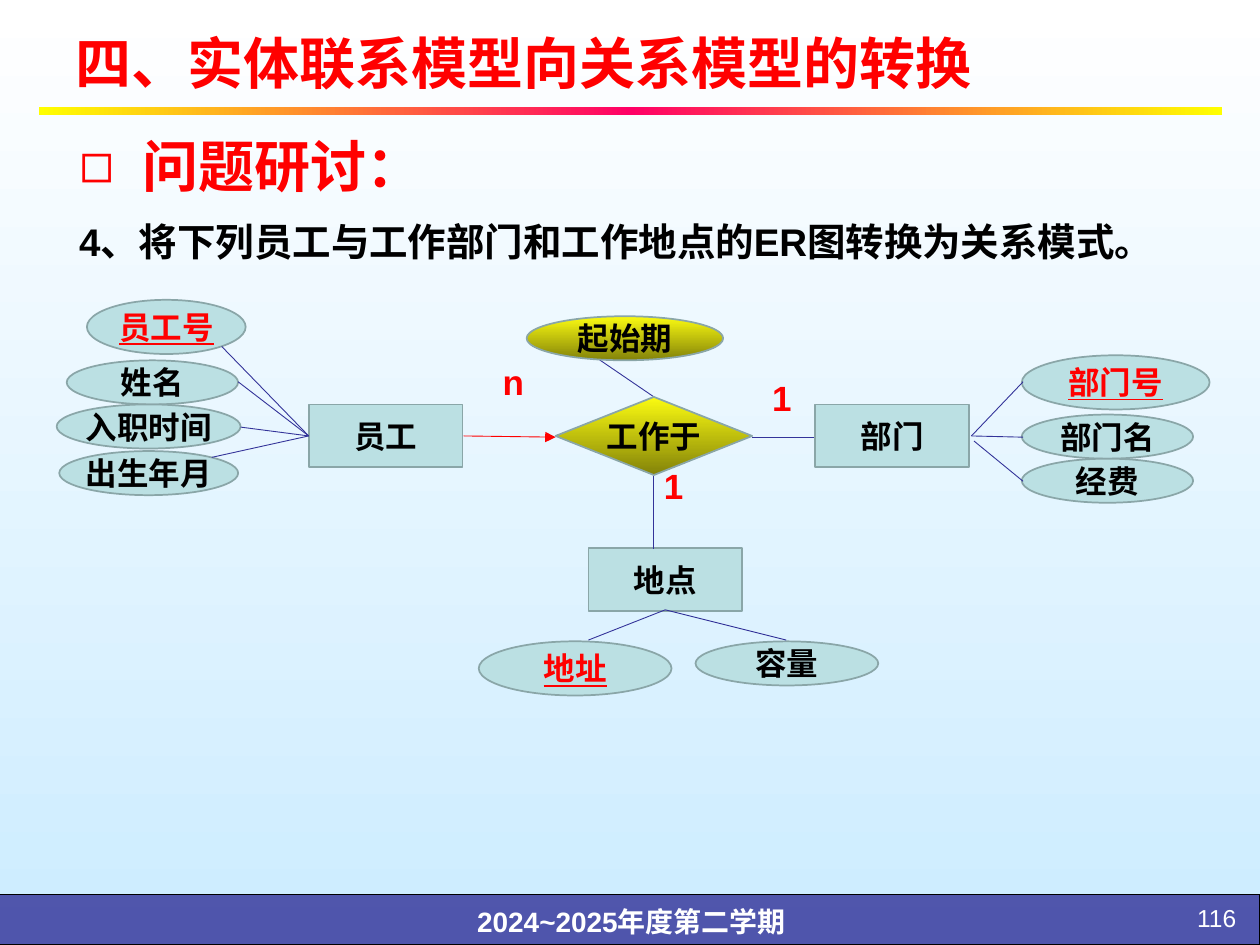
"""Build the slide on turning an ER diagram into relation schemas."""
import pptx
import pptx.dml.color
import pptx.enum.shapes
import pptx.enum.text
import pptx.oxml.ns
import pptx.oxml.xmlchemy
import pptx.util

Inches = pptx.util.Inches
Pt = pptx.util.Pt
Kind = pptx.enum.shapes.MSO_SHAPE
Align = pptx.enum.text.PP_ALIGN
Anchor = pptx.enum.text.MSO_ANCHOR
qn = pptx.oxml.ns.qn

RED, BLACK, WHITE, NAVY = "FF0000", "000000", "FFFFFF", "333399"
PALE, EDGE = "BBE0E3", "8AA6A8"
GOLD = [(0, "FBFB11"), (100, "838309")]


def rgb(code):
    """Turn a hex string into a colour."""
    return pptx.dml.color.RGBColor.from_string(code)


def put(obj, vals):
    """Set each named value on an object."""
    for name, val in vals.items():
        setattr(obj, name, val)


def node(host, tag, **attrs):
    """Append an XML element to a host."""
    item = pptx.oxml.xmlchemy.OxmlElement(tag)
    for name, val in attrs.items():
        item.set(name, str(val))
    host.append(item)
    return item


def grade(fill, host, stops, angle):
    """Fill with a linear gradient, the angle counted clockwise."""
    fill.gradient()
    fill.gradient_angle = (360 - angle) % 360
    rows = host.find(".//" + qn("a:gsLst"))
    for old in list(rows):
        rows.remove(old)
    for pos, code in stops:
        node(node(rows, "a:gs", pos=pos * 1000), "a:srgbClr", val=code)


def write(shape, text, size, code=BLACK, frame=None, para=None, font=None):
    """Write one formatted paragraph into a shape."""
    box = shape.text_frame
    put(box, {"word_wrap": True, "auto_size": pptx.enum.text.MSO_AUTO_SIZE.NONE,
              **(frame or {})})
    line = box.paragraphs[0]
    put(line, {"alignment": Align.LEFT, **(para or {})})
    run = line.add_run()
    run.text = text
    put(run.font, {"name": "Arial", "size": Pt(size), "bold": True, **(font or {})})
    run.font.color.rgb = rgb(code)
    return line


def place(shape, spot):
    """Move and size a shape."""
    put(shape, dict(zip(("left", "top", "width", "height"), map(Inches, spot))))


def label(slide, text, spot, size, code=BLACK, **more):
    """Add a text box."""
    box = slide.shapes.add_textbox(*map(Inches, spot))
    write(box, text, size, code, **more)


def form(slide, kind, spot, fill, edge=None, wide=1, angle=90):
    """Add a preset shape with a plain or gradient fill."""
    shape = slide.shapes.add_shape(kind, *map(Inches, spot))
    shape.shadow.inherit = False
    if isinstance(fill, list):
        grade(shape.fill, shape.element, fill, angle)
    else:
        shape.fill.solid()
        shape.fill.fore_color.rgb = rgb(fill)
    if edge:
        shape.line.color.rgb = rgb(edge)
        shape.line.width = Pt(wide)
    else:
        shape.line.fill.background()
    return shape


def part(slide, kind, text, spot, fill=PALE, key=False):
    """Add a labelled part of the diagram, underlined when it is a key."""
    shape = form(slide, kind, spot, fill, EDGE)
    tight = dict.fromkeys(
        ("margin_left", "margin_right", "margin_top", "margin_bottom"), 0)
    write(shape, text, 18, RED if key else BLACK,
          frame={"vertical_anchor": Anchor.MIDDLE, **tight},
          para={"alignment": Align.CENTER}, font={"underline": key})


def link(slide, start, end, code=NAVY, arrow=False):
    """Join two points by a thin line."""
    line = slide.shapes.add_connector(
        pptx.enum.shapes.MSO_CONNECTOR.STRAIGHT, *map(Inches, start + end))
    line.line.color.rgb = rgb(code)
    line.line.width = Pt(0.5)
    props = line.element.spPr
    if arrow:
        node(props.find(qn("a:ln")), "a:tailEnd", type="triangle")
    node(props, "a:effectLst")


def frame(slide):
    """Draw the background, the rule and the footer."""
    grade(slide.background.fill, slide.element, [(0, WHITE), (100, "CCECFF")], 90)
    band = form(slide, Kind.RECTANGLE, (-0.01, 7.1, 10.01, 0.4), NAVY, BLACK, 0.75)
    node(band.element.spPr.find(".//" + qn("a:srgbClr")), "a:alpha", val=81000)
    label(slide, "2024~2025年度第二学期", (2.69, 7.08, 4.64, 0.42), 16, WHITE,
          para={"alignment": Align.CENTER, "line_spacing": 1.2})
    form(slide, Kind.RECTANGLE, (0.31, 0.85, 9.39, 0.06),
         [(0, "FFFF00"), (50, "FF0066"), (100, "FFFF00")], angle=0)
    label(slide, "116", (8.94, 7.12, 0.97, 0.3), 14, WHITE,
          para={"alignment": Align.RIGHT}, font={"bold": False})


def heads(slide):
    """Fill the title, the bulleted heading and the task."""
    title, body = slide.placeholders
    place(title, (0.5, 0.11, 9, 0.76))
    write(title, "四、实体联系模型向关系模型的转换", 32, RED,
          frame={"vertical_anchor": Anchor.MIDDLE})
    place(body, (0.53, 0.73, 2.93, 0.91))
    line = write(body, "问题研讨：", 32, RED, frame={"word_wrap": False},
                 para={"line_spacing": 1.5, "space_before": Pt(0)},
                 font={"name": "Calibri"})
    props = line._p.get_or_add_pPr()
    props.set("marL", str(Inches(0.5)))
    props.set("indent", str(Inches(-0.5)))
    node(props, "a:buChar", char="◻")
    label(slide, "4、将下列员工与工作部门和工作地点的ER图转换为关系模式。",
          (0.53, 1.68, 9.19, 0.47), 22)


def chart(slide):
    """Draw the entities, attributes and relationship."""
    for text, left, top in (("员工", 2.45, 3.21), ("地点", 4.67, 4.35),
                            ("部门", 6.47, 3.21)):
        part(slide, Kind.RECTANGLE, text, (left, top, 1.22, 0.5))
    for text, left, top, wide in (("员工号", 0.69, 2.38, 1.26),
                                  ("地址", 3.8, 5.09, 1.53),
                                  ("部门号", 8.11, 2.82, 1.49)):
        part(slide, Kind.OVAL, text, (left, top, wide, 0.43), key=True)
    for text, left, top, wide in (("姓名", 0.53, 2.86, 1.36),
                                  ("入职时间", 0.45, 3.21, 1.46),
                                  ("出生年月", 0.47, 3.58, 1.42),
                                  ("容量", 5.52, 5.09, 1.45),
                                  ("部门名", 8.11, 3.29, 1.36),
                                  ("经费", 8.11, 3.64, 1.36)):
        part(slide, Kind.OVAL, text, (left, top, wide, 0.35))
    fans = {(2.45, 3.46): [(1.76, 2.75), (1.89, 3.03), (1.91, 3.39), (1.68, 3.63)],
            (7.71, 3.46): [(8.12, 3.03), (8.12, 3.47)],
            (7.73, 3.5): [(8.12, 3.82)],
            (5.28, 4.84): [(4.67, 5.08), (6.24, 5.08)],
            (5.97, 3.47): [(6.46, 3.47)],
            (5.19, 3.15): [(4.75, 2.85)],
            (5.19, 3.78): [(5.19, 4.36)]}
    for hub, ends in fans.items():
        for end in ends:
            link(slide, hub, end)
    link(slide, (3.68, 3.46), (4.41, 3.47), RED, arrow=True)
    part(slide, Kind.DIAMOND, "工作于", (4.41, 3.15, 1.56, 0.62), GOLD)
    part(slide, Kind.OVAL, "起始期", (4.18, 2.51, 1.56, 0.35), GOLD)
    for text, left, top, wide in (("1", 6.03, 2.94, 0.35), ("n", 3.89, 2.81, 0.52),
                                  ("1", 5.17, 3.64, 0.35)):
        label(slide, text, (left, top, wide, 0.55), 20, RED)


def main():
    """Build and save the slide."""
    deck = pptx.Presentation()
    put(deck, {"slide_width": Inches(10), "slide_height": Inches(7.5)})
    slide = deck.slides.add_slide(deck.slide_layouts[1])
    frame(slide)
    heads(slide)
    chart(slide)
    deck.save("out.pptx")


if __name__ == "__main__":
    main()
